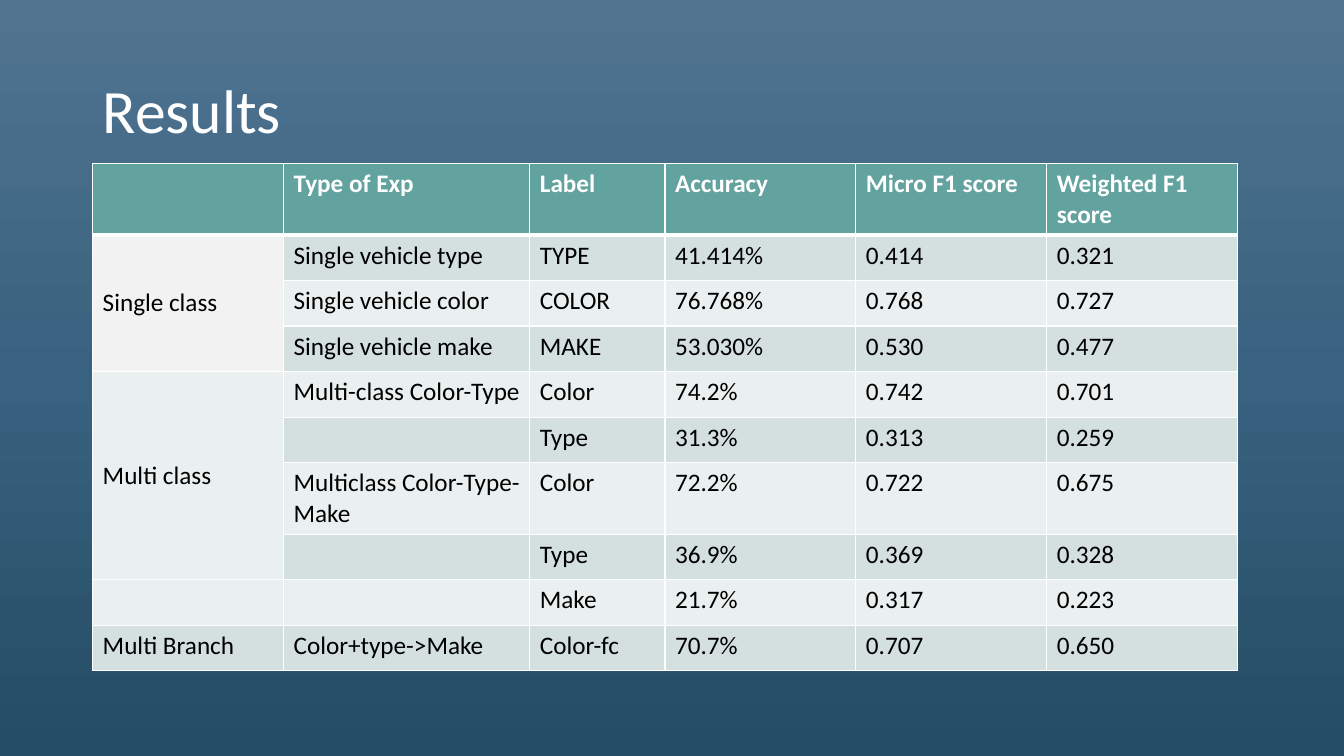
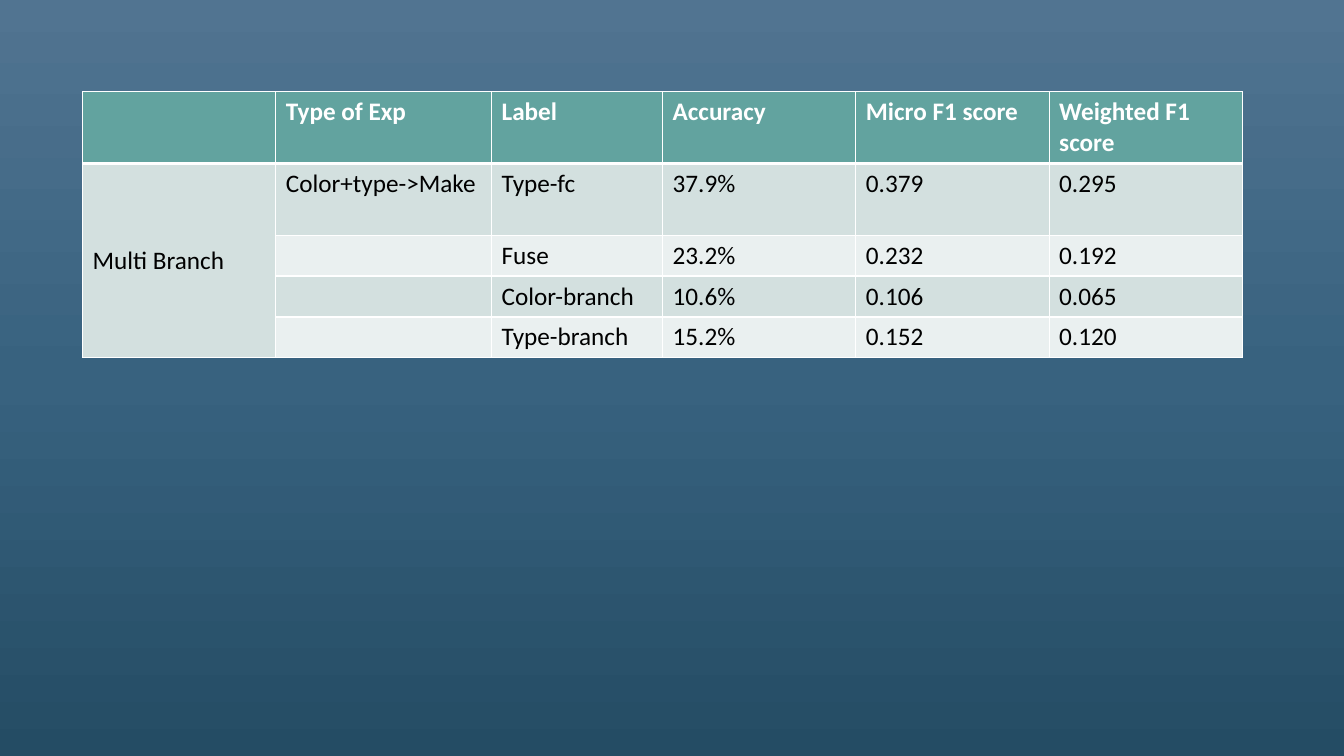
from copy import deepcopy
from dataclasses import dataclass

from lxml.etree import SubElement
from pptx import Presentation
from pptx.dml.color import RGBColor as Rgb
from pptx.enum.text import MSO_ANCHOR as Anchor, MSO_AUTO_SIZE as AutoSize, PP_ALIGN as Align
from pptx.oxml.ns import qn
from pptx.util import Pt


@dataclass(frozen=True)
class Theme:
    font: str = "Calibri"
    title_size: int = 44
    cell_size: int = 18
    white: str = "FFFFFF"
    black: str = "000000"
    header: str = "62A39F"
    bands: tuple = ("EAF0F0", "D3E0DF")  # even rows, odd rows
    pale: str = "F2F2F2"
    backdrop: tuple = ("517491", "38627F", "244C64")
    thin: int = 1
    thick: int = 3


@dataclass(frozen=True)
class Box:
    left: float
    top: float
    width: float
    height: float


THEME = Theme()
TITLE_BOX = Box(66.2, 28.8, 828, 104.4)
TITLE_ONLY, BLANK = 5, 6
TALL_ROW = 51.2
HEADINGS = ("", "Type of Exp", "Label", "Accuracy", "Micro F1 score", "Weighted F1 score")

# A first cell of None continues the group above it
MAIN_RESULTS = (
    ("Single class", "Single vehicle type", "TYPE", "41.414%", "0.414", "0.321"),
    (None, "Single vehicle color", "COLOR", "76.768%", "0.768", "0.727"),
    (None, "Single vehicle make", "MAKE", "53.030%", "0.530", "0.477"),
    ("Multi class", "Multi-class Color-Type", "Color", "74.2%", "0.742", "0.701"),
    (None, "", "Type", "31.3%", "0.313", "0.259"),
    (None, "Multiclass Color-Type-Make", "Color", "72.2%", "0.722", "0.675"),
    (None, "", "Type", "36.9%", "0.369", "0.328"),
    ("", "", "Make", "21.7%", "0.317", "0.223"),
    ("Multi Branch", "Color+type->Make", "Color-fc", "70.7%", "0.707", "0.650"),
)
BRANCH_RESULTS = (
    ("Multi Branch", "Color+type->Make", "Type-fc", "37.9%", "0.379", "0.295"),
    (None, "", "Fuse", "23.2%", "0.232", "0.192"),
    (None, "", "Color-branch", "10.6%", "0.106", "0.065"),
    (None, "", "Type-branch", "15.2%", "0.152", "0.120"),
)


def paint_backdrop(master):
    """Give every slide the same vertical three-colour gradient."""
    fill = master.background.fill
    fill.gradient()
    fill.gradient_angle = 270
    stop_list = master.element.xpath(".//p:bg//a:gsLst")[0]
    stop_list.insert(1, deepcopy(stop_list[0]))
    for index, (stop, color) in enumerate(zip(fill.gradient_stops, THEME.backdrop)):
        stop.position = index / 2
        stop.color.rgb = Rgb.from_string(color)


def add_text(para, text, size, color, bold=False):
    span = para.add_run()
    span.text = text
    font = span.font
    font.name, font.size, font.bold = THEME.font, Pt(size), bold
    font.color.rgb = Rgb.from_string(color)


def place_title(page, box, text):
    title = page.shapes.title
    title.left, title.top = Pt(box.left), Pt(box.top)
    title.width, title.height = Pt(box.width), Pt(box.height)
    frame = title.text_frame
    frame.auto_size = AutoSize.NONE
    frame.vertical_anchor = Anchor.MIDDLE
    para = frame.paragraphs[0]
    para.alignment, para.line_spacing = Align.LEFT, 0.9
    add_text(para, text, THEME.title_size, THEME.white)


def set_borders(cell, top, bottom):
    """Draw white cell edges; they must precede the fill in the XML."""
    properties = cell._tc.get_or_add_tcPr()
    widths = {"a:lnL": THEME.thin, "a:lnR": THEME.thin, "a:lnT": top, "a:lnB": bottom}
    for index, (tag, width) in enumerate(widths.items()):
        line = SubElement(properties, qn(tag), w=str(Pt(width)))
        SubElement(SubElement(line, qn("a:solidFill")), qn("a:srgbClr"), val=THEME.white)
        properties.insert(index, line)


def style_cell(cell, row, text, fill):
    is_header = row == 0
    cell.fill.solid()
    cell.fill.fore_color.rgb = Rgb.from_string(fill)
    set_borders(cell,
                top=THEME.thick if row == 1 else THEME.thin,
                bottom=THEME.thick if is_header else THEME.thin)
    if text:
        color = THEME.white if is_header else THEME.black
        add_text(cell.text_frame.paragraphs[0], text, THEME.cell_size, color, is_header)


def merge_groups(table, records):
    """Merge each group name with the continuing cells below it."""
    row = 1
    while row <= len(records):
        last = row
        while last < len(records) and records[last][0] is None:
            last += 1
        if last > row:
            group = table.cell(row, 0)
            group.merge(table.cell(last, 0))
            group.vertical_anchor = Anchor.MIDDLE
        row = last + 1


def place_table(page, box, records, kind_width, label_width, tall_rows, group_fills=()):
    """Fill the box: the other columns and the normal rows share what is left."""
    rows = (HEADINGS, *records)
    table = page.shapes.add_table(len(rows), len(HEADINGS), Pt(box.left), Pt(box.top),
                                  Pt(box.width), Pt(box.height)).table
    table.first_row = table.horz_banding = False

    # Grid
    score_width = (box.width - kind_width - label_width) / (len(HEADINGS) - 2)
    widths = (score_width, kind_width, label_width) + (score_width,) * 3
    for column, width in zip(table.columns, widths):
        column.width = Pt(width)
    row_height = (box.height - TALL_ROW * len(tall_rows)) / (len(rows) - len(tall_rows))
    for index, row in enumerate(table.rows):
        row.height = Pt(TALL_ROW if index in tall_rows else row_height)

    # Cells
    group_fills = dict(group_fills)
    group_fill = None
    for r, values in enumerate(rows):
        band = THEME.bands[r % 2] if r else THEME.header
        if values[0] is not None:
            group_fill = group_fills.get(values[0], band)
        for c, text in enumerate(values):
            style_cell(table.cell(r, c), r, text, band if c else group_fill)
    merge_groups(table, records)


def build_main_results(deck):
    page = deck.slides.add_slide(deck.slide_layouts[TITLE_ONLY])
    place_title(page, TITLE_BOX, "Results")
    place_table(page, Box(66.2, 116.7, 817.9, 362.6), MAIN_RESULTS,
                kind_width=175.9, label_width=96.6, tall_rows=(0, 6),
                group_fills=(("Single class", THEME.pale),))


def build_branch_results(deck):
    page = deck.slides.add_slide(deck.slide_layouts[BLANK])
    place_table(page, Box(59, 65.6, 828.6, 190), BRANCH_RESULTS,
                kind_width=154.1, label_width=122.2, tall_rows=(0, 1))


def main():
    deck = Presentation()
    deck.slide_width, deck.slide_height = Pt(960), Pt(540)
    paint_backdrop(deck.slide_master)
    build_main_results(deck)
    build_branch_results(deck)
    deck.save("out.pptx")


if __name__ == "__main__":
    main()
